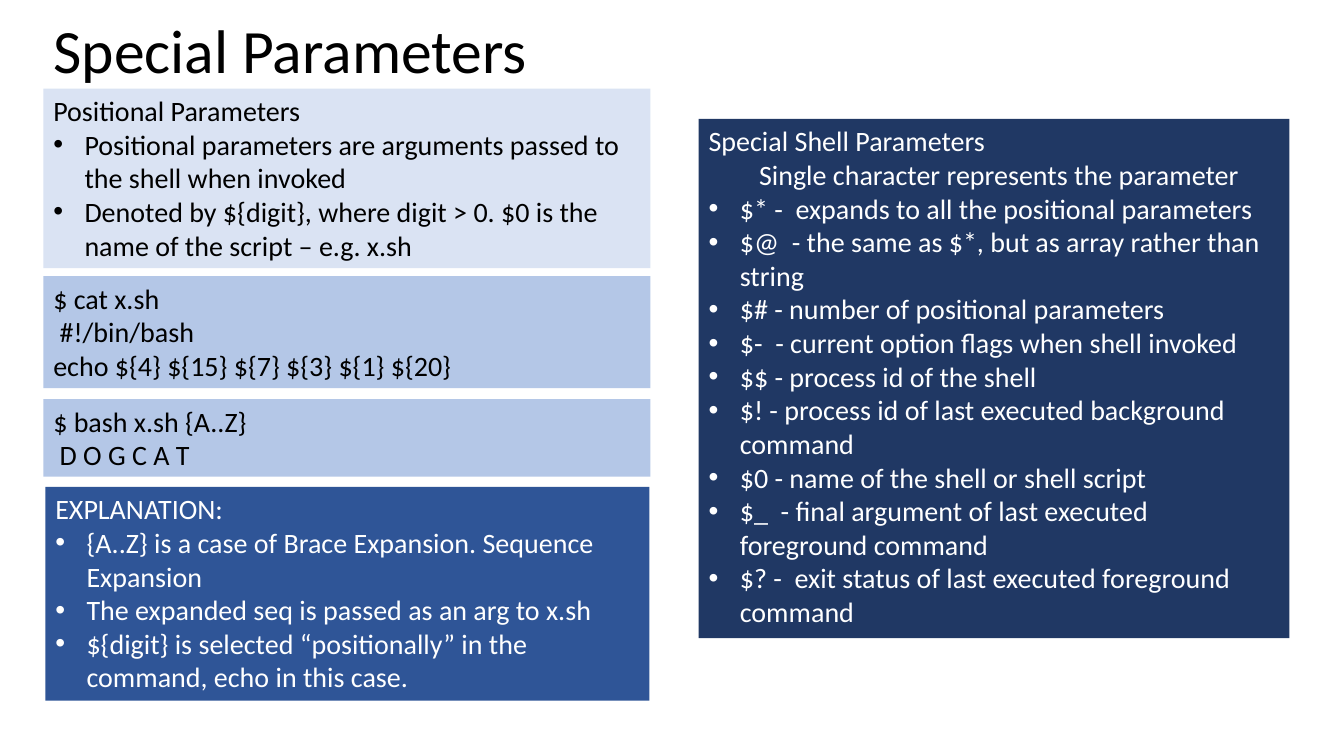
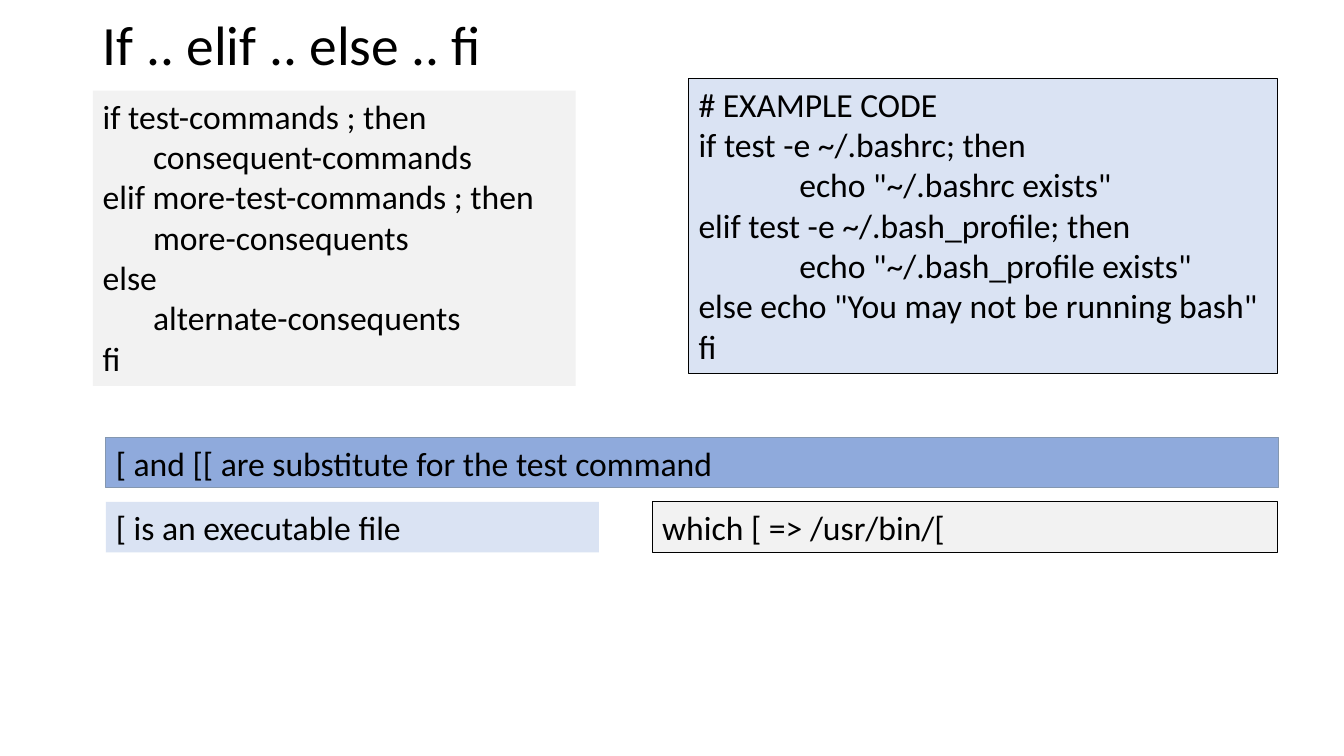
"""Build two slides on shell parameters and conditionals."""
from lxml import etree
from pptx import Presentation
from pptx import util as u
from pptx.dml import color
from pptx.enum import shapes, text
from pptx.oxml import ns

FONT = "Calibri"
BLACK, WHITE, GREY = "000000", "FFFFFF", "F2F2F2"
PALE, LIGHT, MEDIUM = "DAE3F3", "B4C7E7", "8FAADC"
DEEP, NAVY, SLATE = "2F5597", "203864", "8497B0"
BULLET, STEP, CODE_STEP = "bullet", "step", "code step"
INDENTS = {BULLET: (0.31, -0.31), STEP: (0.5, 0), CODE_STEP: (1, 0)}


def bullets(*lines):
    return [(BULLET, line) for line in lines]


POSITIONAL = ["Positional Parameters"] + bullets(
    "Positional parameters are arguments passed to the shell when invoked",
    "Denoted by ${digit}, where digit > 0. $0 is the name of the script – e.g. x.sh",
)
SCRIPT = ["$ cat x.sh", " #!/bin/bash", "echo ${4} ${15} ${7} ${3} ${1} ${20}"]
OUTPUT = ["$ bash x.sh {A..Z}", " D O G C A T"]
EXPLANATION = ["EXPLANATION:"] + bullets(
    "{A..Z} is a case of Brace Expansion. Sequence Expansion",
    "The expanded seq is passed as an arg to x.sh",
    "${digit} is selected “positionally” in the command, echo in this case.",
)
SPECIAL = [
    "Special Shell Parameters",
    (STEP, "Single character represents the parameter"),
] + bullets(
    "$* -  expands to all the positional parameters",
    "$@  - the same as $*, but as array rather than string",
    "$# - number of positional parameters",
    "$-  - current option flags when shell invoked",
    "$$ - process id of the shell",
    "$! - process id of last executed background command",
    "$0 - name of the shell or shell script",
    "$_  - final argument of last executed foreground command",
    "$? -  exit status of last executed foreground command",
)
SYNTAX = [
    "if test-commands ; then",
    (STEP, "consequent-commands"),
    "elif more-test-commands ; then",
    (STEP, "more-consequents"),
    "else",
    (STEP, "alternate-consequents"),
    "fi",
]
EXAMPLE = [
    "# EXAMPLE CODE",
    "if test -e ~/.bashrc; then",
    (CODE_STEP, 'echo "~/.bashrc exists"'),
    "elif test -e ~/.bash_profile; then",
    (CODE_STEP, 'echo "~/.bash_profile exists"'),
    'else echo "You may not be running bash"',
    "fi",
]
SLIDES = [
    {
        "title": ("Special Parameters", (0.43, 0.03, 12.37, 1.01), 44),
        "size": 20,
        "panels": [
            (POSITIONAL, (0.43, 0.88, 6.02, 1.78), PALE, BLACK, None),
            (SCRIPT, (0.43, 2.74, 6.02, 1.11), LIGHT, BLACK, None),
            (OUTPUT, (0.43, 3.96, 6.02, 0.77), LIGHT, BLACK, None),
            (EXPLANATION, (0.45, 4.83, 5.99, 2.12), DEEP, WHITE, None),
            (SPECIAL, (6.93, 1.18, 5.86, 5.15), NAVY, WHITE, None),
        ],
    },
    {
        "title": ("If .. elif .. else .. fi", (0.92, 0.15, 11.5, 0.65), 39.6),
        "size": 24,
        "panels": [
            (SYNTAX, (0.92, 0.9, 4.79, 2.93), GREY, BLACK, None),
            (EXAMPLE, (6.83, 0.78, 5.84, 2.93), PALE, BLACK, BLACK),
            (["[ is an executable file"], (1.05, 4.98, 4.89, 0.5), PALE, BLACK, None),
            (["which [ => /usr/bin/["], (6.47, 4.98, 6.2, 0.5), GREY, BLACK, BLACK),
            (["[ and [[ are substitute for the test command"],
             (1.05, 4.34, 11.63, 0.5), MEDIUM, BLACK, SLATE),
        ],
    },
]


def rgb(value):
    return color.RGBColor.from_string(value)


def write(paragraph, words, size, ink):
    paragraph.alignment = text.PP_ALIGN.LEFT
    run = paragraph.add_run()
    run.text = words
    run.font.name = FONT
    run.font.size = u.Pt(size)
    run.font.color.rgb = rgb(ink)


def indent(paragraph, kind):
    margin, first_line = INDENTS[kind]
    properties = paragraph._p.get_or_add_pPr()
    properties.set("marL", str(u.Inches(margin)))
    properties.set("indent", str(u.Inches(first_line)))
    if kind == BULLET:
        etree.SubElement(properties, ns.qn("a:buFont"), typeface="Arial")
        etree.SubElement(properties, ns.qn("a:buChar"), char="•")
    else:
        paragraph.level = 1


def add_title(slide, words, box, size):
    title = slide.shapes.title
    title.left, title.top, title.width, title.height = map(u.Inches, box)
    frame = title.text_frame
    frame.auto_size = text.MSO_AUTO_SIZE.NONE
    frame.vertical_anchor = text.MSO_ANCHOR.MIDDLE
    paragraph = frame.paragraphs[0]
    paragraph.line_spacing = 0.9
    write(paragraph, words, size, BLACK)


def add_panel(slide, lines, box, fill, ink, outline, size):
    panel = slide.shapes.add_shape(shapes.MSO_SHAPE.RECTANGLE, *map(u.Inches, box))
    panel.shadow.inherit = False
    panel.fill.solid()
    panel.fill.fore_color.rgb = rgb(fill)
    if outline:
        panel.line.color.rgb = rgb(outline)
        panel.line.width = u.Pt(0.75)
    else:
        panel.line.fill.background()
    frame = panel.text_frame
    frame.word_wrap = True
    frame.auto_size = text.MSO_AUTO_SIZE.SHAPE_TO_FIT_TEXT
    frame.vertical_anchor = text.MSO_ANCHOR.TOP
    for index, line in enumerate(lines):
        paragraph = frame.add_paragraph() if index else frame.paragraphs[0]
        kind, words = (None, line) if isinstance(line, str) else line
        if kind:
            indent(paragraph, kind)
        write(paragraph, words, size, ink)


def main():
    presentation = Presentation()
    presentation.slide_width = u.Inches(13.33)
    presentation.slide_height = u.Inches(7.5)
    title_only = presentation.slide_layouts[5]
    for content in SLIDES:
        slide = presentation.slides.add_slide(title_only)
        add_title(slide, *content["title"])
        for panel in content["panels"]:
            add_panel(slide, *panel, content["size"])
    presentation.save("out.pptx")


if __name__ == "__main__":
    main()
